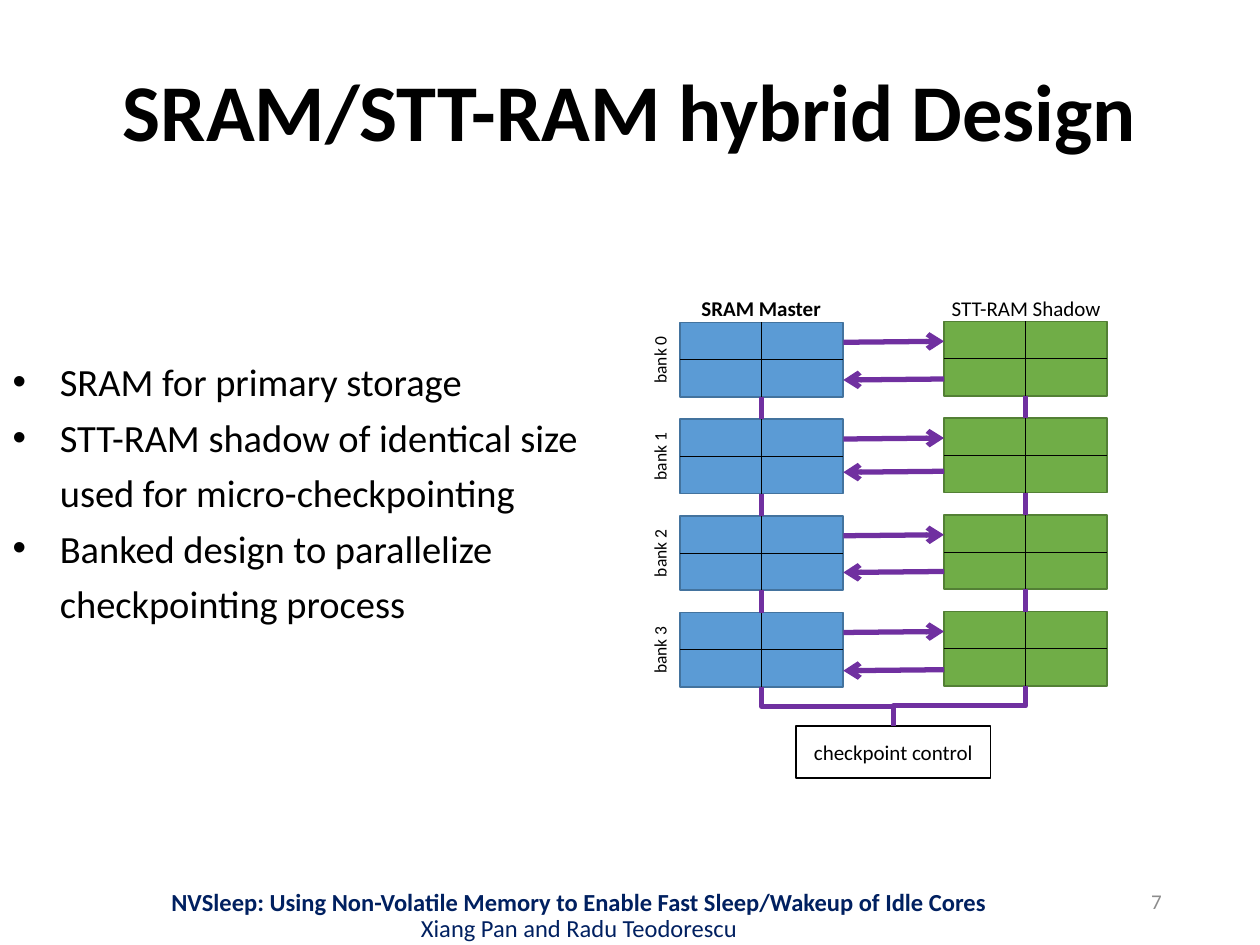
from dataclasses import dataclass
from typing import Optional

from lxml import etree
from pptx import Presentation
from pptx.dml.color import RGBColor
from pptx.enum.shapes import MSO_CONNECTOR, MSO_SHAPE
from pptx.enum.text import MSO_ANCHOR, MSO_AUTO_SIZE, PP_ALIGN
from pptx.oxml.ns import qn
from pptx.util import Cm, Pt

STRAIGHT, ELBOW = MSO_CONNECTOR.STRAIGHT, MSO_CONNECTOR.ELBOW
RECTANGLE = MSO_SHAPE.RECTANGLE
LEFT, CENTER, RIGHT = PP_ALIGN.LEFT, PP_ALIGN.CENTER, PP_ALIGN.RIGHT
TOP, MIDDLE = MSO_ANCHOR.TOP, MSO_ANCHOR.MIDDLE
NO_FIT = MSO_AUTO_SIZE.NONE
TOP_SIDE, LEFT_SIDE, BOTTOM_SIDE, RIGHT_SIDE = range(4)

BLACK = RGBColor(0x00, 0x00, 0x00)
WHITE = RGBColor(0xFF, 0xFF, 0xFF)
GRAY = RGBColor(0x8C, 0x8C, 0x8C)
NAVY = RGBColor(0x00, 0x20, 0x60)
PURPLE = RGBColor(0x70, 0x30, 0xA0)
BLUE = RGBColor(0x5B, 0x9B, 0xD5)
DARK_BLUE = RGBColor(0x43, 0x73, 0x9E)
GREEN = RGBColor(0x70, 0xAD, 0x47)
DARK_GREEN = RGBColor(0x53, 0x80, 0x35)

FONT = "Calibri"
BANK_WIDTH, BANK_HEIGHT, BANK_PITCH = 3.29, 1.5, 1.95
SAVE_OFFSET = 0.4
RESTORE_OFFSETS = (1.16, 1.07, 1.14, 1.17)
ARROW_RISE = 0.02


@dataclass(frozen=True)
class Box:
    left: float
    top: float
    width: float
    height: float


@dataclass(frozen=True)
class Memory:
    left: float
    top: float
    fill: RGBColor
    outline: RGBColor


@dataclass(frozen=True)
class Label:
    box: Box
    lines: tuple[str, ...]
    size: float
    color: RGBColor = BLACK
    bold: tuple[bool, ...] = (False,)
    align: PP_ALIGN = CENTER
    anchor: MSO_ANCHOR = TOP
    rotation: float = 0
    spacing: Optional[float] = None
    wrap: bool = True


SRAM = Memory(13.71, 6.5, BLUE, DARK_BLUE)
STT_RAM = Memory(19.03, 6.48, GREEN, DARK_GREEN)
TITLE_BOX = Box(0.94, 0.94, 23.5, 2.77)
BODY_BOX = Box(0, 6.91, 13.41, 5.82)
CONTROL_BOX = Box(16.05, 14.63, 3.92, 1.06)
BULLETS = (
    "SRAM for primary storage",
    "STT-RAM shadow of identical size used for micro-checkpointing",
    "Banked design to parallelize checkpointing process",
)
LABELS = [
    Label(Box(13.67, 5.84, 3.35, 0.77), ("SRAM Master",), 12, bold=(True,)),
    Label(Box(18.31, 5.84, 4.75, 0.77), ("STT-RAM Shadow",), 12),
    Label(Box(22.58, 17.65, 1.09, 1.02), ("7",), 12, GRAY, align=RIGHT, anchor=MIDDLE),
    Label(
        Box(1.35, 17.86, 20.65, 1.24),
        (
            "NVSleep: Using Non-Volatile Memory to Enable Fast Sleep/Wakeup of Idle Cores",
            "Xiang Pan and Radu Teodorescu",
        ),
        14, NAVY, (True, False), anchor=MIDDLE, spacing=0.9,
    ),
] + [
    Label(Box(12.57, 6.91 + bank * BANK_PITCH, 1.47, 0.69), (f"bank {bank}",), 10,
          rotation=270, wrap=False)
    for bank in range(len(RESTORE_OFFSETS))
]


def place(shape, box: Box) -> None:
    shape.left, shape.top = Cm(box.left), Cm(box.top)
    shape.width, shape.height = Cm(box.width), Cm(box.height)


def write(text_frame, lines: tuple[str, ...], size: float, color: RGBColor = BLACK,
          bold: tuple[bool, ...] = (False,), align: PP_ALIGN = CENTER,
          spacing: Optional[float] = None) -> None:
    text_frame.text = "\n".join(lines)
    for index, paragraph in enumerate(text_frame.paragraphs):
        paragraph.alignment = align
        paragraph.line_spacing = spacing
        paragraph.space_before = Pt(0)
        paragraph.font.name = FONT
        paragraph.font.size = Pt(size)
        paragraph.font.bold = bold[index % len(bold)]
        paragraph.font.color.rgb = color


def add_label(shapes, label: Label) -> None:
    text_box = shapes.add_textbox(0, 0, 0, 0)
    place(text_box, label.box)
    text_box.rotation = label.rotation
    text_frame = text_box.text_frame
    text_frame.word_wrap = label.wrap
    text_frame.vertical_anchor = label.anchor
    write(text_frame, label.lines, label.size, label.color, label.bold, label.align, label.spacing)


def add_rectangle(shapes, box: Box, fill: RGBColor, outline: RGBColor):
    rectangle = shapes.add_shape(RECTANGLE, 0, 0, Cm(box.width), Cm(box.height))
    place(rectangle, box)
    rectangle.shadow.inherit = False
    rectangle.fill.solid()
    rectangle.fill.fore_color.rgb = fill
    rectangle.line.color.rgb = outline
    rectangle.line.width = Pt(1)
    return rectangle


def add_line(shapes, start: tuple[float, float], end: tuple[float, float],
             color: RGBColor = PURPLE, width: float = 3, kind: MSO_CONNECTOR = STRAIGHT,
             arrow: bool = False):
    connector = shapes.add_connector(kind, *(Cm(value) for value in (*start, *end)))
    connector.line.color.rgb = color
    connector.line.width = Pt(width)
    if arrow:
        etree.SubElement(connector.line._get_or_add_ln(), qn("a:tailEnd"), type="arrow")
    etree.SubElement(connector._element.spPr, qn("a:effectLst"))
    return connector


def join(shapes, first, first_side: int, second, second_side: int,
         color: RGBColor = PURPLE, width: float = 3) -> None:
    connector = add_line(shapes, (0, 0), (0, 0), color, width)
    connector.begin_connect(first, first_side)
    connector.end_connect(second, second_side)


def add_bank(shapes, memory: Memory, bank: int):
    group = shapes.add_group_shape()
    box = Box(memory.left, memory.top + bank * BANK_PITCH, BANK_WIDTH, BANK_HEIGHT)
    rectangle = add_rectangle(group.shapes, box, memory.fill, memory.outline)
    middle_x, middle_y = box.left + box.width / 2, box.top + box.height / 2
    for start, end, sides in (
        ((box.left, middle_y), (box.left + box.width, middle_y), (LEFT_SIDE, RIGHT_SIDE)),
        ((middle_x, box.top), (middle_x, box.top + box.height), (TOP_SIDE, BOTTOM_SIDE)),
    ):
        divider = add_line(group.shapes, start, end, BLACK, 0.5)
        divider.begin_connect(rectangle, sides[0])
        divider.end_connect(rectangle, sides[1])
    return rectangle


def add_elbow_to_control(shapes, memory: Memory) -> None:
    start_x = memory.left + BANK_WIDTH / 2
    start_y = memory.top + (len(RESTORE_OFFSETS) - 1) * BANK_PITCH + BANK_HEIGHT
    end_x, end_y = CONTROL_BOX.left + CONTROL_BOX.width / 2, CONTROL_BOX.top
    center_x, center_y = (start_x + end_x) / 2, (start_y + end_y) / 2
    half_run, half_drop = abs(end_x - start_x) / 2, (end_y - start_y) / 2
    from_left = start_x < end_x
    side = half_drop if from_left else -half_drop
    elbow = add_line(shapes, (center_x + side, center_y - half_run),
                     (center_x - side, center_y + half_run), kind=ELBOW)
    elbow._element.spPr.find(qn("a:xfrm")).set("rot", str((270 if from_left else 90) * 60000))


def main() -> None:
    presentation = Presentation()
    presentation.slide_width, presentation.slide_height = Cm(25.4), Cm(19.05)
    slide = presentation.slides.add_slide(presentation.slide_layouts[1])
    shapes = slide.shapes
    title, body = shapes.title, slide.placeholders[1]
    for placeholder, box in ((title, TITLE_BOX), (body, BODY_BOX)):
        place(placeholder, box)
        placeholder.text_frame.auto_size = NO_FIT
    write(title.text_frame, ("SRAM/STT-RAM hybrid Design",), 46, bold=(True,), spacing=0.9)
    write(body.text_frame, BULLETS, 22, align=LEFT, spacing=1.2)

    for label in LABELS:
        add_label(shapes, label)
    control = add_rectangle(shapes, CONTROL_BOX, WHITE, BLACK)
    control.text_frame.vertical_anchor = MIDDLE
    write(control.text_frame, ("checkpoint control",), 12)

    for memory in (SRAM, STT_RAM):
        banks = [add_bank(shapes, memory, bank) for bank in range(len(RESTORE_OFFSETS))]
        for upper, lower in zip(banks, banks[1:]):
            join(shapes, upper, BOTTOM_SIDE, lower, TOP_SIDE)
        add_elbow_to_control(shapes, memory)

    sram_edge = SRAM.left + BANK_WIDTH
    for bank, restore_offset in enumerate(RESTORE_OFFSETS):
        top = SRAM.top + bank * BANK_PITCH
        save_y, restore_y = top + SAVE_OFFSET, top + restore_offset
        add_line(shapes, (sram_edge, save_y), (STT_RAM.left, save_y - ARROW_RISE), arrow=True)
        add_line(shapes, (STT_RAM.left, restore_y - ARROW_RISE), (sram_edge, restore_y), arrow=True)

    presentation.save("out.pptx")


if __name__ == "__main__":
    main()
